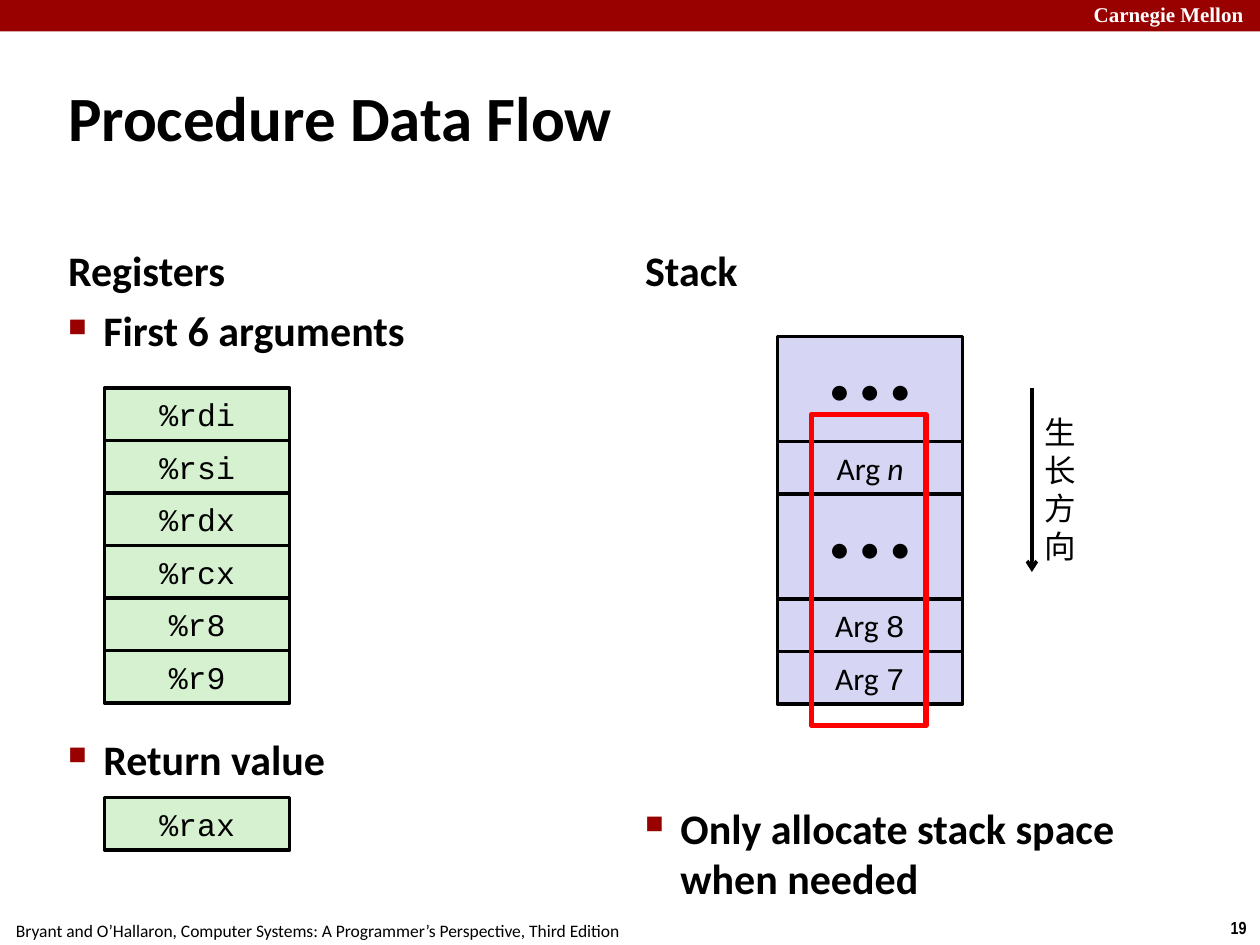
from dataclasses import dataclass

from lxml.etree import SubElement as Sub
from pptx import Presentation
from pptx.dml.color import RGBColor as Rgb
from pptx.enum.shapes import MSO_CONNECTOR as Conn, MSO_SHAPE as Shape
from pptx.enum.text import MSO_ANCHOR as Anchor, MSO_AUTO_SIZE as Auto, PP_ALIGN as Align
from pptx.oxml.ns import qn
from pptx.util import Inches, Pt


@dataclass(frozen=True)
class Theme:
    black: str = "000000"
    white: str = "FFFFFF"
    brand: str = "990000"
    green: str = "D5F1CF"
    blue: str = "D6D6F4"
    red: str = "FF0000"
    sans: str = "Calibri"
    mono: str = "Courier New"
    serif: str = "Times New Roman"
    narrow: str = "Arial Narrow"
    cjk: str = "Noto Sans CJK SC"
    title: int = 36
    head: int = 24
    cell: int = 18
    tag: int = 12
    foot: int = 10


class Deck:
    def __init__(self, theme):
        self.theme = theme
        self.file = Presentation()
        self.file.slide_width, self.file.slide_height = Inches(10), Inches(7.5)
        self.slide = self.file.slides.add_slide(self.file.slide_layouts[5])
        self.shapes = self.slide.shapes

    def style(self, para, size, face, color=None, bold=False, align=Align.LEFT):
        para.alignment = align
        font = para.font
        font.size, font.name, font.bold = Pt(size), face, bold
        font.color.rgb = Rgb.from_string(color or self.theme.black)

    def frame(self, shape, pad=0.04, anchor=Anchor.TOP, wrap=True):
        frame = shape.text_frame
        frame.auto_size = Auto.NONE
        frame.word_wrap, frame.vertical_anchor = wrap, anchor
        frame.margin_left = frame.margin_right = Inches(pad)
        frame.margin_top = frame.margin_bottom = Inches(pad)
        return frame

    def title(self, text, *box):
        shape = self.shapes.title
        shape.left, shape.top, shape.width, shape.height = map(Inches, box)
        para = self.frame(shape, anchor=Anchor.MIDDLE).paragraphs[0]
        para.text = text
        self.style(para, self.theme.title, self.theme.sans, bold=True)

    def text(self, text, box, size, face, color=None, bold=False,
             align=Align.LEFT, bullet=False, **layout):
        shape = self.shapes.add_textbox(*map(Inches, box))
        frame = self.frame(shape, **layout)
        frame.text = text
        for para in frame.paragraphs:
            if bullet:
                self.bullet(para)
            self.style(para, size, face, color, bold, align)
            if face == self.theme.cjk:
                Sub(para._p.pPr.find(qn("a:defRPr")), qn("a:ea"), typeface=face)

    def bullet(self, para):
        props = para._p.get_or_add_pPr()
        props.set("marL", str(Inches(0.28)))
        props.set("indent", str(-Inches(0.28)))
        Sub(Sub(props, qn("a:buClr")), qn("a:srgbClr"), val=self.theme.brand)
        Sub(props, qn("a:buSzPct"), val="60000")
        Sub(props, qn("a:buChar"), char="■")

    def head(self, text, *box):
        self.text(text, box, self.theme.head, self.theme.sans, bold=True,
                  anchor=Anchor.BOTTOM)

    def point(self, text, *box):
        self.text(text, box, self.theme.head, self.theme.sans, bold=True, bullet=True)

    def rect(self, box, fill=None, line=None, width=2):
        shape = self.shapes.add_shape(Shape.RECTANGLE, *map(Inches, box))
        shape.shadow.inherit = False
        if fill:
            shape.fill.solid()
            shape.fill.fore_color.rgb = Rgb.from_string(fill)
        else:
            shape.fill.background()
        if line:
            shape.line.color.rgb = Rgb.from_string(line)
            shape.line.width = Pt(width)
        else:
            shape.line.fill.background()
        return shape

    def cell(self, text, box, fill, size, face, pad=0.04):
        shape = self.rect(box, fill, self.theme.black)
        para = self.frame(shape, pad, Anchor.MIDDLE).paragraphs[0]
        para.add_run().text = text
        self.style(para, size, face, align=Align.CENTER)
        return para

    def arrow(self, *ends):
        line = self.shapes.add_connector(Conn.STRAIGHT, *map(Inches, ends))
        line.line.color.rgb = Rgb.from_string(self.theme.black)
        line.line.width = Pt(2)
        Sub(line.line._get_or_add_ln(), qn("a:tailEnd"), type="arrow")
        Sub(line._element.spPr, qn("a:effectLst"))


def main():
    theme = Theme()
    deck = Deck(theme)
    wide, row = 1.47, 5 / 12

    # Page frame: number, source and top band
    deck.text("19", (9.66, 7.23, 0.34, 0.27), theme.foot, theme.narrow, bold=True,
              align=Align.CENTER, pad=0.05, wrap=False)
    deck.text("Bryant and O’Hallaron, Computer Systems: A Programmer’s Perspective, "
              "Third Edition", (-0.02, 7.25, 5.08, 0.27), theme.foot, theme.sans,
              align=Align.CENTER, pad=0.05, wrap=False)
    deck.rect((0, 0, 10, 0.25), theme.brand)
    deck.text("Carnegie Mellon", (8.64, -0.03, 1.44, 0.28), theme.tag, theme.serif,
              theme.white, bold=True)

    # Title, headings and points
    deck.title("Procedure Data Flow", 0.5, 0.3, 9, 1.25)
    deck.head("Registers", 0.5, 1.68, 4.42, 0.7)
    deck.point("First 6 arguments", 0.5, 2.38, 4.42, 0.5)
    deck.point("Return value", 0.5, 5.78, 4.42, 0.5)
    deck.head("Stack", 5.08, 1.68, 4.42, 0.7)
    deck.point("Only allocate stack space when needed", 5.08, 6.33, 4.42, 0.9)

    # Argument registers and the return register
    names = ["%rdi", "%rsi", "%rdx", "%rcx", "%r8", "%r9"]
    regs = [(name, 3.08 + i * row) for i, name in enumerate(names)]
    for name, top in regs + [("%rax", 6.33)]:
        deck.cell(name, (0.83, top, wide, row), theme.green, theme.cell, theme.mono)

    # Stack, top down; a gap takes two rows
    top = 2.67
    for mark in [None, "n", None, "8", "7"]:
        if mark is None:
            high = 2 * row
            deck.cell("• • •", (6.17, top, wide, high), theme.blue,
                      theme.head, theme.sans, pad=0)
        else:
            high = row
            para = deck.cell("Arg ", (6.17, top, wide, high), theme.blue,
                             theme.cell, theme.sans)
            run = para.add_run()
            run.text = mark
            if mark == "n":
                run.font.italic = True
            else:
                run.font.name = theme.mono
        top += high

    # Frame around the arguments and growth direction
    deck.rect((6.44, 3.29, 0.91, 2.47), line=theme.red, width=3)
    deck.arrow(8.19, 3.08, 8.19, 4.54)
    deck.text("\n".join("生长方向"), (8.19, 3.23, 0.45, 1.31), theme.cell, theme.cjk,
              align=Align.CENTER, pad=0.05, wrap=False)

    deck.file.save("out.pptx")


if __name__ == "__main__":
    main()
